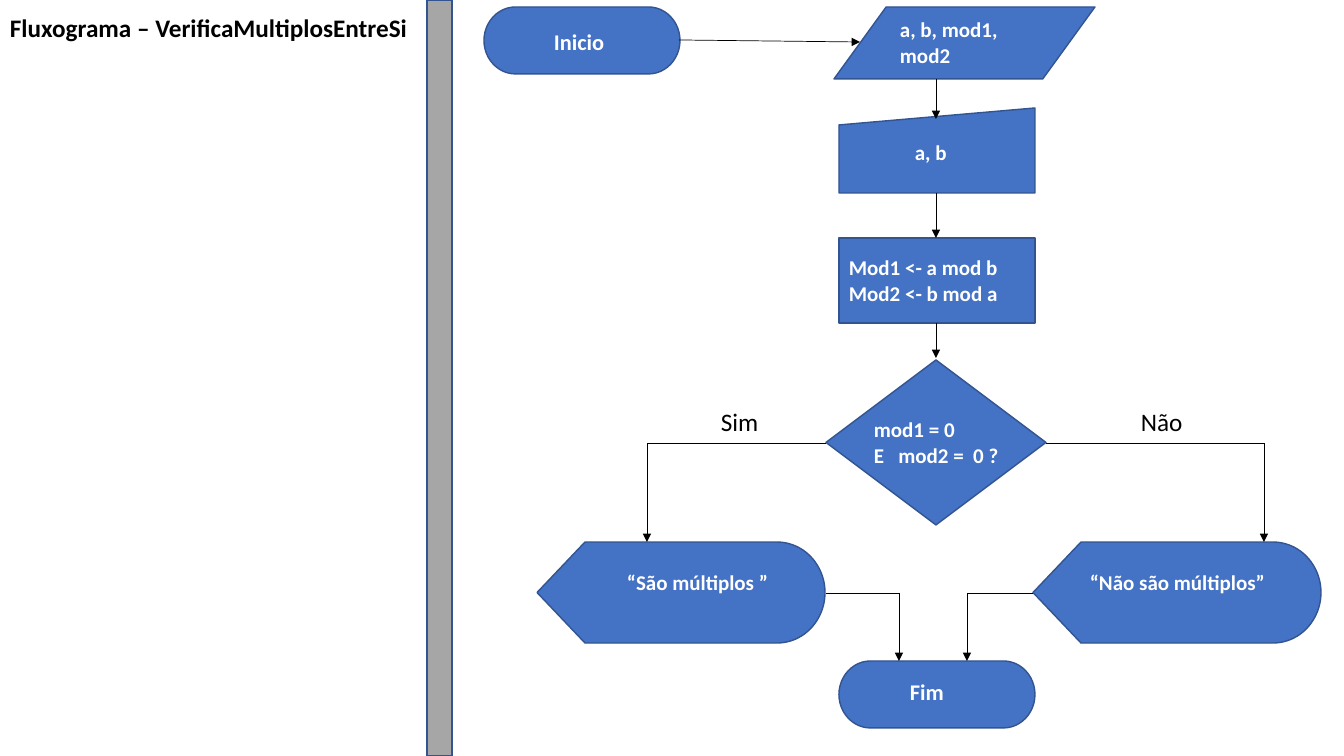
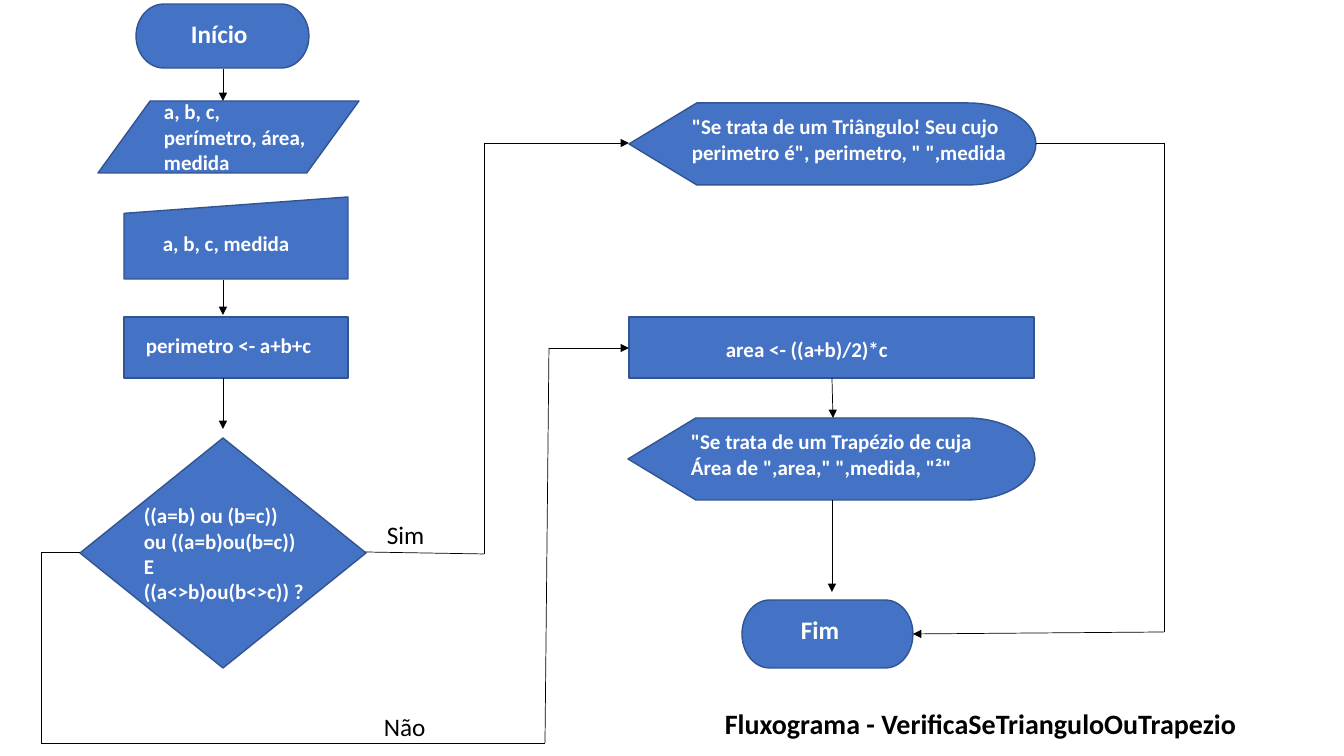
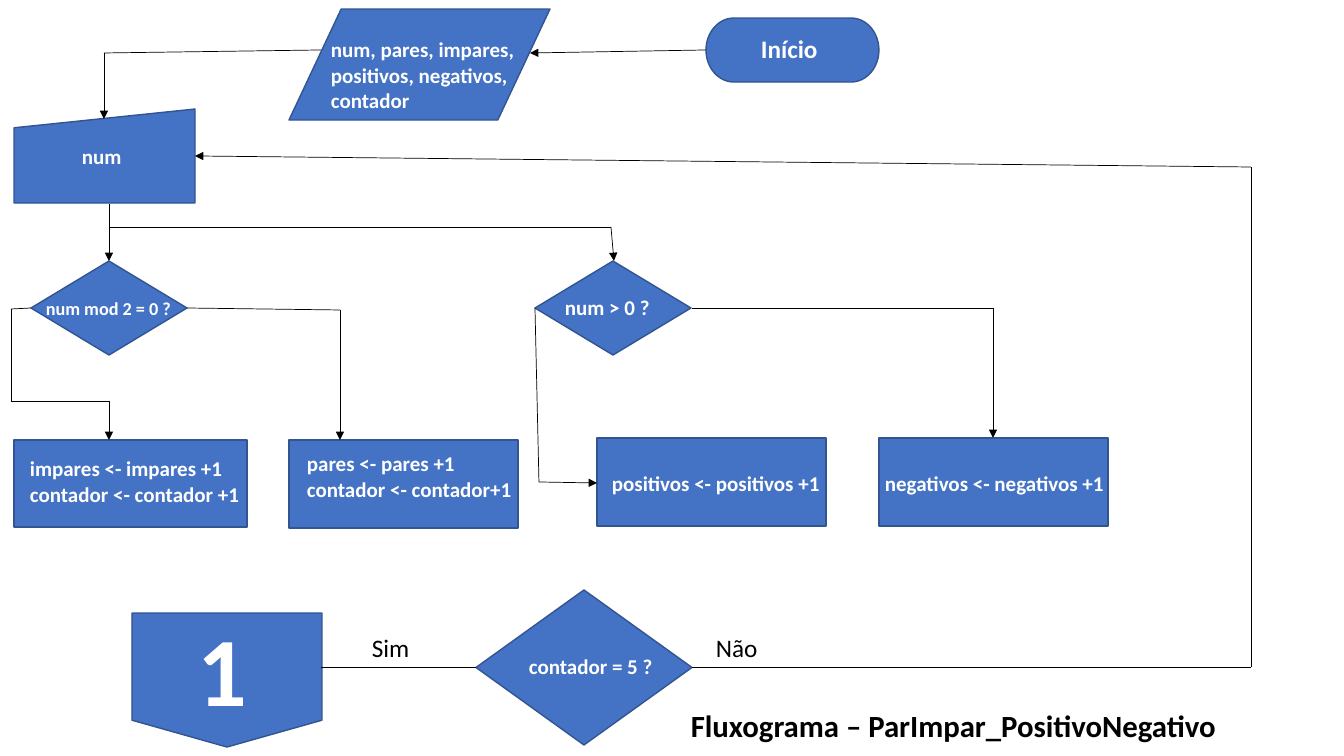
import itertools

import lxml.etree
import pptx
import pptx.dml.color
import pptx.enum.shapes
import pptx.enum.text
import pptx.oxml.ns
import pptx.util

SHAPE = pptx.enum.shapes.MSO_SHAPE
START_END = SHAPE.FLOWCHART_TERMINATOR
DATA = SHAPE.FLOWCHART_DATA
INPUT = SHAPE.FLOWCHART_MANUAL_INPUT
PROCESS = SHAPE.FLOWCHART_PROCESS
DECISION = SHAPE.FLOWCHART_DECISION
DISPLAY = SHAPE.FLOWCHART_DISPLAY
OFFPAGE = SHAPE.FLOWCHART_OFFPAGE_CONNECTOR

FONT = "Calibri"
BLUE, OUTLINE, GREY = "4472C4", "325491", "A6A6A6"
BLACK, WHITE = "000000", "FFFFFF"
NODE_SIZE, ANSWER_SIZE = 15, 18
EMU_PER_PIXEL = 914400 / 100.8

# Content: boxes are (left, top, width, height) in pixels.
# title: text, box, size
# nodes: kind, box, text, text box, size if not NODE_SIZE
# answers: text, box
# arrows and links: the points that each line passes through
multiples = {
    "title": ("Fluxograma – VerificaMultiplosEntreSi", (0, 7, 478, 40), 18),
    "divider": (427, 0, 25, 756),
    "nodes": [
        (START_END, (484, 7, 196, 67), "Inicio", (544, 23, 99, 37), 16),
        (DATA, (834, 7, 261, 72), "a, b, mod1, mod2", (890, 12, 169, 61)),
        (INPUT, (839, 108, 196, 85), "a, b", (905, 135, 105, 35)),
        (PROCESS, (839, 238, 196, 85), "Mod1 <- a mod b\nMod2 <- b mod a",
         (839, 250, 220, 61)),
        (DECISION, (826, 360, 220, 165), "mod1 = 0\nE   mod2 =  0 ?",
         (864, 412, 171, 61)),
        (DISPLAY, (537, 542, 288, 101), "“São múltiplos ”", (617, 565, 171, 35)),
        (DISPLAY, (1033, 542, 288, 101), "“Não são múltiplos”",
         (1080, 565, 212, 35)),
        (START_END, (839, 661, 196, 67), "Fim", (900, 673, 99, 37), 16),
    ],
    "answers": [("Sim", (711, 401, 77, 42)), ("Não", (1131, 401, 162, 40))],
    "arrows": [
        [(679, 40), (860, 42)],
        [(936, 79), (936, 119)],
        [(936, 193), (936, 238)],
        [(936, 323), (936, 358)],
        [(826, 443), (647, 443), (647, 542)],
        [(1046, 443), (1264, 443), (1264, 542)],
        [(826, 593), (899, 593), (899, 661)],
        [(1033, 593), (967, 593), (967, 661)],
    ],
}

triangle_or_trapezium = {
    "title": ("Fluxograma - VerificaSeTrianguloOuTrapezio",
              (715, 702, 589, 44), 20),
    "nodes": [
        (START_END, (136, 4, 173, 64), "Início", (181, 13, 82, 40), 18),
        (DATA, (98, 101, 261, 72), "a, b, c, perímetro, área, medida",
         (154, 94, 169, 87)),
        (INPUT, (124, 197, 224, 82), "a, b, c, medida", (153, 226, 224, 35)),
        (PROCESS, (124, 317, 224, 61), "perimetro <- a+b+c",
         (136, 328, 243, 35)),
        (DECISION, (80, 438, 286, 230),
         "((a=b) ou (b=c))\nou ((a=b)ou(b=c))\nE\n((a<>b)ou(b<>c)) ?",
         (134, 498, 191, 112)),
        (DISPLAY, (629, 103, 407, 82),
         '"Se trata de um Triângulo! Seu cujo perimetro é", perimetro, " ",medida',
         (682, 109, 342, 61)),
        (PROCESS, (629, 317, 405, 61), "area <- ((a+b)/2)*c",
         (716, 332, 229, 35)),
        (DISPLAY, (628, 418, 407, 82),
         '"Se trata de um Trapézio de cuja Área de ",area," ",medida, "²"',
         (681, 424, 342, 61)),
        (START_END, (742, 600, 171, 68), "Fim", (791, 609, 82, 40), 18),
    ],
    "answers": [("Sim", (377, 514, 104, 40)), ("Não", (374, 706, 128, 40))],
    "arrows": [
        [(223, 69), (223, 101)],
        [(223, 280), (223, 315)],
        [(223, 378), (223, 429)],
        [(365, 552), (484, 554), (484, 143), (629, 143)],
        [(1036, 143), (1164, 143), (1164, 632), (913, 634)],
        [(80, 552), (41, 552), (41, 743), (545, 743), (549, 348), (629, 348)],
        [(832, 378), (833, 418)],
        [(832, 500), (832, 592)],
    ],
}

even_odd_sign = {
    "title": ("Fluxograma – ParImpar_PositivoNegativo", (681, 702, 596, 47), 22),
    "nodes": [
        (START_END, (706, 18, 173, 64), "Início", (751, 28, 82, 40), 18),
        (DATA, (289, 9, 261, 111),
         "num, pares, impares, positivos, negativos,\ncontador",
         (321, 32, 233, 87)),
        (INPUT, (14, 109, 181, 94), "num", (72, 139, 140, 35)),
        (DECISION, (31, 261, 156, 94), "num mod 2 = 0 ?", (36, 292, 166, 32), 13),
        (DECISION, (535, 261, 156, 94), "num > 0 ?", (555, 290, 119, 35)),
        (PROCESS, (14, 440, 233, 87),
         "impares <- impares +1\ncontador <- contador +1", (20, 451, 233, 61)),
        (PROCESS, (289, 440, 229, 88),
         "pares <- pares +1\ncontador <- contador+1", (297, 446, 233, 61)),
        (PROCESS, (597, 438, 229, 88), "positivos <- positivos +1",
         (602, 466, 233, 61)),
        (PROCESS, (879, 438, 229, 88), "negativos <- negativos +1",
         (875, 466, 258, 61)),
        (DECISION, (476, 590, 216, 155), "contador = 5 ?", (519, 649, 153, 35)),
        (OFFPAGE, (132, 613, 190, 134), "1", (188, 604, 153, 129), 70),
    ],
    "answers": [("Sim", (362, 627, 152, 40)), ("Não", (706, 627, 152, 40))],
    "arrows": [
        [(706, 50), (530, 53)],
        [(321, 50), (104, 53), (104, 119)],
        [(109, 204), (109, 261)],
        [(109, 227), (611, 227), (614, 261)],
        [(31, 308), (11, 309), (11, 401), (109, 401), (109, 440)],
        [(187, 308), (340, 310), (340, 440)],
        [(535, 308), (539, 482), (597, 483)],
        [(692, 308), (993, 308), (993, 438)],
        [(692, 667), (1251, 667), (1251, 167), (195, 156)],
    ],
    "links": [[(476, 667), (321, 667)]],
}


def emu(*pixels):
    return [round(value * EMU_PER_PIXEL) for value in pixels]


def colour(value):
    return pptx.dml.color.RGBColor.from_string(value)


def add_block(slide, kind, box, fill):
    block = slide.shapes.add_shape(kind, *emu(*box))
    block.shadow.inherit = False
    block.fill.solid()
    block.fill.fore_color.rgb = colour(fill)
    block.line.color.rgb = colour(OUTLINE)
    block.line.width = pptx.util.Pt(1)


def add_text(slide, text, box, size, ink, bold):
    frame = slide.shapes.add_textbox(*emu(*box)).text_frame
    frame.word_wrap = True
    frame.auto_size = pptx.enum.text.MSO_AUTO_SIZE.SHAPE_TO_FIT_TEXT
    frame.text = text
    for paragraph in frame.paragraphs:
        font = paragraph.font
        font.name, font.size, font.bold = FONT, pptx.util.Pt(size), bold
        font.color.rgb = colour(ink)


def add_route(slide, points, arrow):
    """Join the points with straight lines; an arrowhead goes on the last."""
    for start, end in itertools.pairwise(points):
        line = slide.shapes.add_connector(
            pptx.enum.shapes.MSO_CONNECTOR.STRAIGHT, *emu(*start, *end))
        line.line.color.rgb = colour(BLACK)
        line.line.width = pptx.util.Pt(0.5)
        properties = line.line._get_or_add_ln()
        lxml.etree.SubElement(properties.getparent(),
                              pptx.oxml.ns.qn("a:effectLst"))
    if arrow:
        lxml.etree.SubElement(properties, pptx.oxml.ns.qn("a:tailEnd"),
                              type="triangle")


deck = pptx.Presentation()
deck.slide_width, deck.slide_height = emu(1344, 756)

for chart in (multiples, triangle_or_trapezium, even_odd_sign):
    slide = deck.slides.add_slide(deck.slide_layouts[6])

    # Title and divider
    title, title_box, title_size = chart["title"]
    add_text(slide, title, title_box, title_size, BLACK, True)
    if "divider" in chart:
        add_block(slide, SHAPE.RECTANGLE, chart["divider"], GREY)

    # Steps with their wording
    for kind, box, text, text_box, *size in chart["nodes"]:
        add_block(slide, kind, box, BLUE)
        add_text(slide, text, text_box, size[0] if size else NODE_SIZE,
                 WHITE, True)

    # Flow lines and the answers beside them
    for points in chart["arrows"]:
        add_route(slide, points, arrow=True)
    for points in chart.get("links", []):
        add_route(slide, points, arrow=False)
    for answer, box in chart["answers"]:
        add_text(slide, answer, box, ANSWER_SIZE, BLACK, False)

deck.save("out.pptx")
